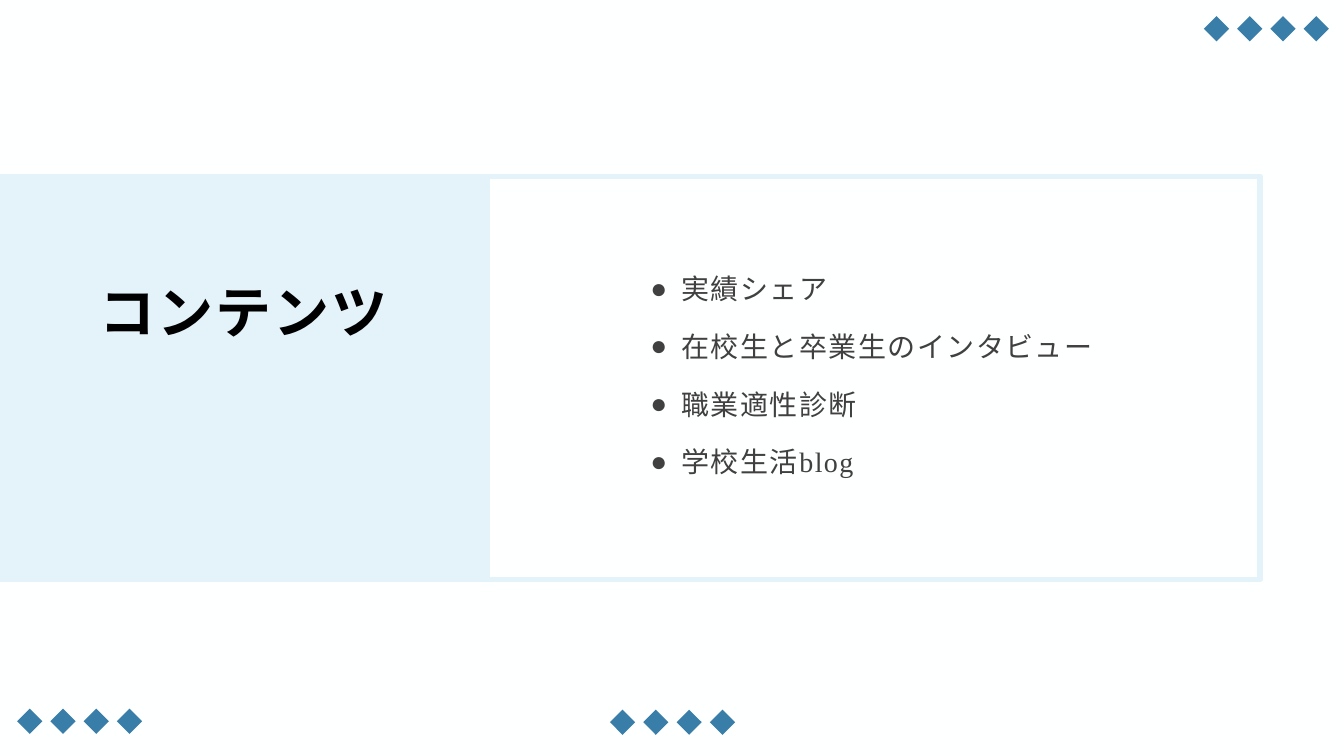
from lxml.etree import SubElement
from pptx import Presentation
from pptx.dml.color import RGBColor
from pptx.enum.shapes import MSO_SHAPE
from pptx.enum.text import MSO_ANCHOR, MSO_AUTO_SIZE, PP_ALIGN
from pptx.oxml.ns import qn
from pptx.util import Emu, Inches, Pt

PALE_BLUE = "E4F2F9"
DIAMOND_BLUE = "397EA8"
TOPICS = ["実績シェア", "在校生と卒業生のインタビュー", "職業適性診断", "学校生活blog"]


def color(value):
    return RGBColor.from_string(value)


def add_panel(page, kind, left, top, width, height, fill=None, line=None):
    shape = page.shapes.add_shape(
        kind, Inches(left), Inches(top), Inches(width), Inches(height))
    shape.shadow.inherit = False
    if fill:
        shape.fill.solid()
        shape.fill.fore_color.rgb = color(fill)
    else:
        shape.fill.background()
    if line:
        shape.line.color.rgb = color(line)
        shape.line.width = Pt(4)
    else:
        shape.line.fill.background()
    return shape


def add_diamond_row(page, left, top, count=4, size=0.25, step=0.33):
    for index in range(count):
        add_panel(page, MSO_SHAPE.DIAMOND, left + index * step, top, size, size,
                  fill=DIAMOND_BLUE)


def prepare_box(box, left, top, width, height):
    box.left, box.top = Inches(left), Inches(top)
    box.width, box.height = Inches(width), Inches(height)
    frame = box.text_frame
    frame.word_wrap = True
    frame.auto_size = MSO_AUTO_SIZE.NONE
    frame.vertical_anchor = MSO_ANCHOR.MIDDLE
    frame.margin_left = frame.margin_right = Inches(0.07)
    frame.margin_top = frame.margin_bottom = Inches(0.03)
    return frame


def write_text(para, text, size, ink, bold=False, tracking=0, align=PP_ALIGN.LEFT,
               line_spacing=1.0, before=0, bullet=None, indent=0):
    if bullet:
        properties = para._p.get_or_add_pPr()
        properties.set("marL", str(Inches(indent)))
        properties.set("indent", str(Emu(-Inches(indent))))
        SubElement(properties, qn("a:buFont"), typeface="Arial")
        SubElement(properties, qn("a:buChar"), char=bullet)
    para.alignment = align
    para.line_spacing = line_spacing
    para.space_before = Pt(before)
    para.space_after = Pt(0)
    span = para.add_run()
    span.text = text
    span.font.name = "Times New Roman"
    span.font.size = Pt(size)
    span.font.bold = bold
    span.font.color.rgb = color(ink)
    span._r.get_or_add_rPr().set("spc", str(round(tracking * 100)))


def build_heading(page, left, top, width, height):
    add_panel(page, MSO_SHAPE.RECTANGLE, left, top, width, height,
              fill=PALE_BLUE, line=PALE_BLUE)
    frame = prepare_box(page.shapes.title, left + 0.83, top + 0.92, 3.17, 0.83)
    write_text(frame.paragraphs[0], "コンテンツ", size=40, ink="000000", bold=True,
               tracking=1.6, align=PP_ALIGN.CENTER)


def build_topics(page, left, top, width, height):
    add_panel(page, MSO_SHAPE.RECTANGLE, left, top, width, height, line=PALE_BLUE)
    frame = prepare_box(page.placeholders[1], left + 1.55, top + 0.72, 4.58, 2.4)
    for index, topic in enumerate(TOPICS):
        para = frame.add_paragraph() if index else frame.paragraphs[0]
        write_text(para, topic, size=20, ink="404040", tracking=1, line_spacing=1.3,
                   before=10 if index else 0, bullet="●", indent=0.31)


def build_contents_page(deck):
    page = deck.slides.add_slide(deck.slide_layouts[1])
    page.background.fill.solid()
    page.background.fill.fore_color.rgb = color("FEFFFF")
    for left, top in [(0.17, 7.03), (11.94, 0.16), (6.05, 7.04)]:
        add_diamond_row(page, left, top)
    build_heading(page, 0, 1.75, 4.83, 4)
    build_topics(page, 4.83, 1.75, 7.67, 4)
    for box in (page.shapes.title, page.placeholders[1]):
        page.shapes._spTree.append(box._element)


def main():
    deck = Presentation()
    deck.slide_width, deck.slide_height = Inches(13.33), Inches(7.5)
    build_contents_page(deck)
    deck.save("out.pptx")


if __name__ == "__main__":
    main()
